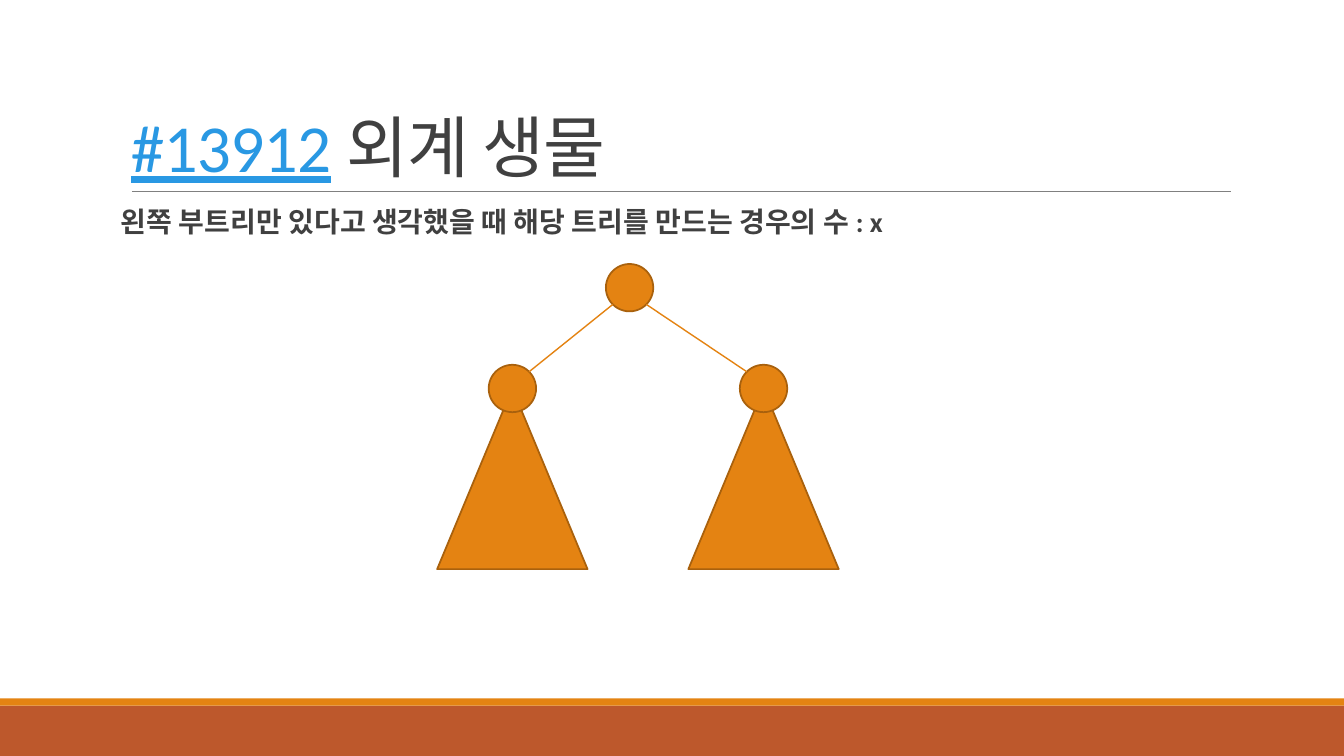
from math import sqrt

from lxml import etree
from pptx import Presentation, util as u
from pptx.dml.color import RGBColor
from pptx.enum import shapes, text
from pptx.oxml import ns

ORANGE = RGBColor(0xE4, 0x83, 0x12)
BROWN = RGBColor(0xA9, 0x61, 0x0D)
RUST = RGBColor(0xBD, 0x58, 0x2C)
GREY = RGBColor(0x80, 0x80, 0x80)
DARK = RGBColor(0x40, 0x40, 0x40)
BLUE = RGBColor(0x29, 0x98, 0xE3)

COLUMNS, ROWS = 160, 90
RADIUS = 2.82
TREE_WIDTH, TREE_HEIGHT = 17.9, 21.5
ROOT = (74.95, 34.25)
CHILD_ROW = 46.25
LEFT_CHILD, RIGHT_CHILD = 61, 90.9


def add_span(para, words, size=20, color=DARK, bold=False, underline=False,
             spacing=0):
    """Add a run of words in the given format."""
    span = para.add_run()
    span.text = words
    font = span.font
    font.name, font.size = "Calibri", u.Pt(size)
    font.bold, font.underline = bold, underline
    font.color.rgb = color
    if spacing:
        span._r.get_or_add_rPr().set("spc", str(round(spacing * 100)))


class Canvas:
    """Hold the page, its square grid and the drawing style."""

    def __init__(self, deck):
        """Add a blank page and work out the grid cell."""
        self.page = deck.slides.add_slide(deck.slide_layouts[6])
        self.cell_width = deck.slide_width / COLUMNS
        self.cell_height = deck.slide_height / ROWS

    def place(self, column, row):
        """Turn a column and a row into lengths."""
        return round(column * self.cell_width), round(row * self.cell_height)

    def shape(self, kind, column, row, width, height, fill=ORANGE, line=BROWN,
              group=None):
        """Draw a filled preset shape, on the page or in a group."""
        parent = group or self.page
        form = parent.shapes.add_shape(kind, *self.place(column, row),
                                       *self.place(width, height))
        form.shadow.inherit = False
        form.fill.solid()
        form.fill.fore_color.rgb = fill
        if line is None:
            form.line.fill.background()
        else:
            form.line.color.rgb = line
            form.line.width = u.Pt(1.25)

    def node(self, column, row, group=None):
        """Draw a tree node around its centre."""
        self.shape(shapes.MSO_SHAPE.OVAL, column - RADIUS, row - RADIUS,
                   2 * RADIUS, 2 * RADIUS, group=group)

    def subtree(self, column, row):
        """Draw a triangle with its node on top, as one group."""
        group = self.page.shapes.add_group_shape()
        self.shape(shapes.MSO_SHAPE.ISOSCELES_TRIANGLE,
                   column - TREE_WIDTH / 2, row, TREE_WIDTH, TREE_HEIGHT,
                   group=group)
        self.node(column, row, group)

    def line(self, start, end, color=ORANGE, width=1):
        """Draw a straight line between two grid points."""
        link = self.page.shapes.add_connector(
            shapes.MSO_CONNECTOR.STRAIGHT, *self.place(*start),
            *self.place(*end))
        link.line.color.rgb = color
        link.line.width = u.Pt(width)
        etree.SubElement(link._element.spPr, ns.qn("a:effectLst"))

    def branch(self, parent, child):
        """Join two nodes at the diagonal points of their rims."""
        reach = RADIUS / sqrt(2)
        side = reach if child[0] > parent[0] else -reach
        self.line((parent[0] + side, parent[1] + reach),
                  (child[0] - side, child[1] - reach))

    def text_box(self, column, row, width, height, inset=0.1,
                 anchor=text.MSO_ANCHOR.TOP, line_spacing=0.9, before=0,
                 after=0):
        """Add a wrapping text box and return its paragraph."""
        box = self.page.shapes.add_textbox(*self.place(column, row),
                                           *self.place(width, height))
        frame = box.text_frame
        frame.word_wrap = True
        frame.vertical_anchor = anchor
        frame.margin_left = frame.margin_right = u.Inches(inset)
        para = frame.paragraphs[0]
        para.line_spacing = line_spacing
        para.space_before, para.space_after = u.Pt(before), u.Pt(after)
        return para


def main():
    """Build the slide and save it."""
    deck = Presentation()
    deck.slide_width, deck.slide_height = u.Inches(13.33), u.Inches(7.5)
    canvas = Canvas(deck)

    for row, height, color in ((84, 6, RUST), (83.15, 0.85, ORANGE)):
        canvas.shape(shapes.MSO_SHAPE.RECTANGLE, 0, row, COLUMNS, height,
                     fill=color, line=None)
    canvas.line((15.7, 22.8), (146.5, 22.8), color=GREY, width=0.5)

    title = canvas.text_box(14.4, 3.75, 132, 19.05, line_spacing=0.85,
                            anchor=text.MSO_ANCHOR.BOTTOM)
    add_span(title, "#13912", size=48, color=BLUE, underline=True,
             spacing=-0.5)
    add_span(title, " 외계 생물", size=48, spacing=-0.5)
    body = canvas.text_box(14.4, 24.25, 121, 52.8, inset=0, before=12, after=2)
    add_span(body, "왼쪽 부트리만 있다고 생각했을 때 해당 트리를 만드는 경우의 수 : x",
             bold=True)

    canvas.node(*ROOT)
    for column in (RIGHT_CHILD, LEFT_CHILD):
        canvas.subtree(column, CHILD_ROW)
    for column in (LEFT_CHILD, RIGHT_CHILD):
        canvas.branch(ROOT, (column, CHILD_ROW))

    deck.save("out.pptx")


main()
